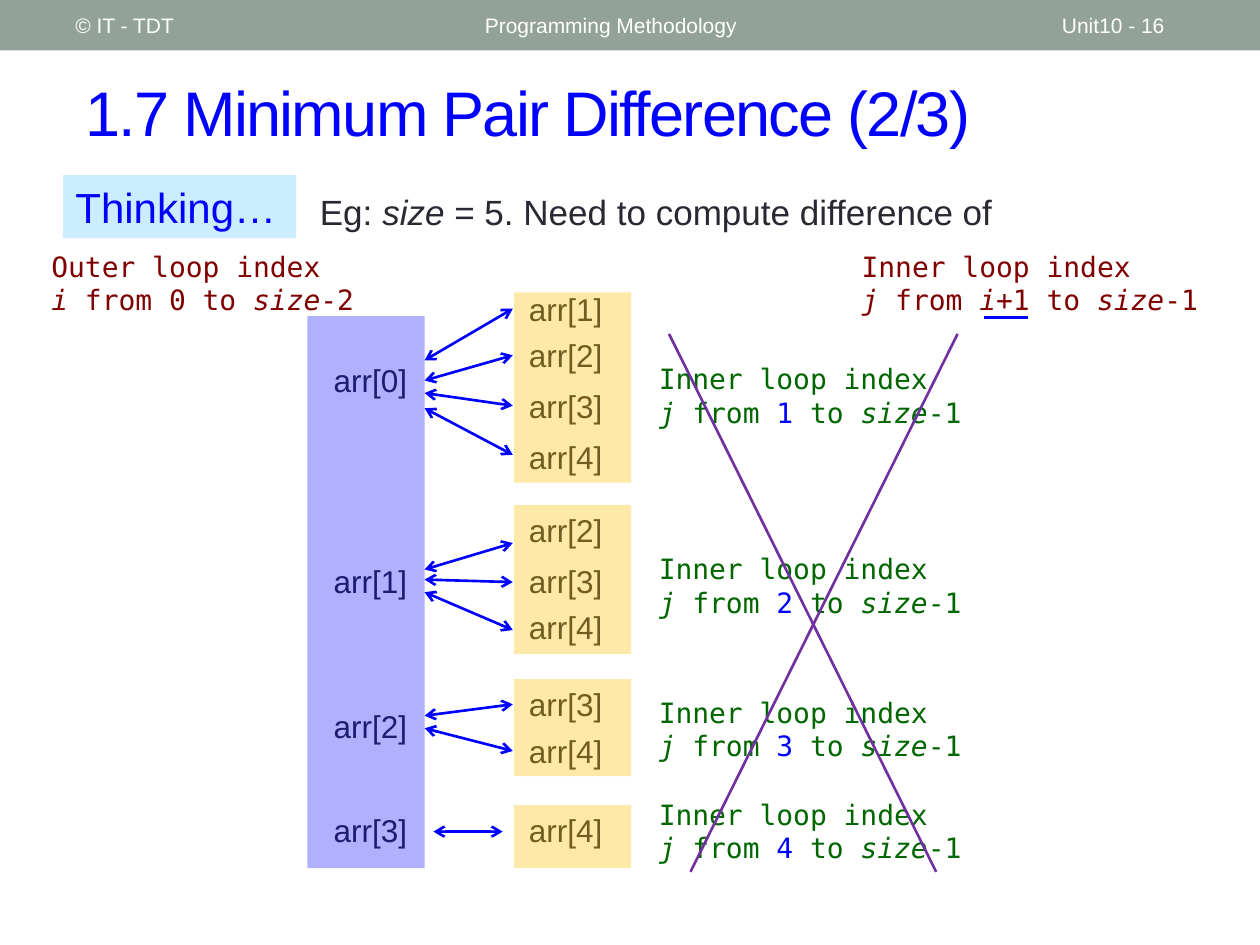
from dataclasses import dataclass

from lxml.etree import SubElement as Sub
from pptx import Presentation
from pptx.dml.color import RGBColor as Rgb
from pptx.enum.shapes import MSO_CONNECTOR as Connector, MSO_SHAPE as Preset
from pptx.enum.text import MSO_ANCHOR as Anchor, MSO_AUTO_SIZE as Fit, PP_ALIGN as Align
from pptx.oxml.ns import qn
from pptx.util import Inches, Pt


@dataclass(frozen=True)
class Theme:
    sans: str = "Arial"
    mono: str = "DejaVu Sans Mono"
    bar: str = "93A299"
    white: str = "FFFFFF"
    blue: str = "0000FF"
    ink: str = "292934"
    sky: str = "CCECFF"
    amber: str = "FFC000"
    maroon: str = "800000"
    green: str = "006600"
    purple: str = "7030A0"
    title: int = 36
    heading: int = 24
    body: int = 20
    element: int = 18
    code: int = 16
    header: int = 12
    stroke: float = 1.5


@dataclass(frozen=True)
class Comparison:
    outer: int
    outer_row: float
    block: tuple
    note_row: float
    partner_rows: tuple
    arrows: tuple


THEME = Theme()
COLUMNS, ROWS = 10, 7.5
CELL = Inches(1)
OUTER_COL, PARTNER_COL, BLOCK_COL, NOTE_COL = 2.44, 3.99, 4.08, 5.13
ELEMENT_SIZE = (1, 0.4)
BLOCK_WIDTH = 0.93
COMPARISONS = (
    Comparison(0, 2.82, (2.32, 1.51), 2.82, (2.25, 2.62, 3.02, 3.43),
               ((2.86, 2.45), (3.02, 2.82), (3.12, 3.22), (3.24, 3.61))),
    Comparison(1, 4.41, (4.01, 1.18), 4.33, (4.01, 4.41, 4.78),
               ((4.52, 4.31), (4.6, 4.62), (4.7, 5))),
    Comparison(2, 5.56, (5.39, 0.77), 5.47, (5.39, 5.76),
               ((5.68, 5.59), (5.78, 5.96))),
    Comparison(3, 6.39, (6.39, 0.5), 6.28, (6.39,), ((6.6, 6.6),)),
)


def grid(*cells):
    return [round(cell * CELL) for cell in cells]


def apply(target, values):
    for name, value in values.items():
        setattr(target, name, value)


def write(frame, text, size, color, font=THEME.sans, align=Align.LEFT,
          anchor=Anchor.TOP, fit=Fit.SHAPE_TO_FIT_TEXT, spacing=None):
    apply(frame, {"word_wrap": True, "auto_size": fit, "vertical_anchor": anchor})
    for number, line in enumerate(text.split("\n")):
        paragraph = frame.add_paragraph() if number else frame.paragraphs[0]
        paragraph.alignment = align
        for accent, chunk in enumerate(line.split("^")):
            for slant, piece in enumerate(chunk.split("*")):
                if not piece:
                    continue
                run = paragraph.add_run()
                run.text = piece
                apply(run.font, {"name": font, "size": Pt(size), "italic": bool(slant % 2)})
                run.font.color.rgb = Rgb.from_string(THEME.blue if accent % 2 else color)
                if spacing is not None:
                    run.font._element.set("spc", str(spacing))


def label(slide, place, text, size, color, **style):
    write(slide.shapes.add_textbox(*grid(*place)).text_frame, text, size, color, **style)


def panel(slide, place, color, opacity=None):
    area = slide.shapes.add_shape(Preset.RECTANGLE, *grid(*place))
    area.shadow.inherit = False
    area.fill.solid()
    area.fill.fore_color.rgb = Rgb.from_string(color)
    area.line.fill.background()
    if opacity is not None:
        tint = area._element.spPr.find(qn("a:solidFill"))[0]
        Sub(tint, qn("a:alpha")).set("val", str(opacity * 1000))
    return area


def stroke(slide, start, end, color, arrows=False):
    link = slide.shapes.add_connector(Connector.STRAIGHT, *grid(*start, *end))
    link.line.color.rgb = Rgb.from_string(color)
    link.line.width = Pt(THEME.stroke)
    if arrows:
        outline = link.line._get_or_add_ln()
        for tip in ("a:headEnd", "a:tailEnd"):
            Sub(outline, qn(tip)).set("type", "arrow")
    Sub(link._element.spPr, qn("a:effectLst"))


def element(slide, column, row, index):
    label(slide, (column, row, *ELEMENT_SIZE), f"arr[{index}]",
          THEME.element, THEME.ink, align=Align.CENTER)


def loop_note(slide, column, row, width, text, color):
    label(slide, (column, row, width, 0.64), text, THEME.code, color, font=THEME.mono)


def header(slide):
    panel(slide, (0, 0, COLUMNS, 0.4), THEME.bar)
    for column, width, text in ((0.5, 3.17, "© IT - TDT"),
                                (3.75, 4.5, "Programming Methodology"),
                                (8.33, 1.17, "Unit10 - 16")):
        label(slide, (column, 0.02, width, 0.36), text, THEME.header, THEME.white,
              anchor=Anchor.MIDDLE, fit=Fit.NONE)


def introduction(slide):
    label(slide, (0.58, 0.42, 9.17, 0.92), "1.7 Minimum Pair Difference (2/3)",
          THEME.title, THEME.blue, anchor=Anchor.MIDDLE, fit=Fit.NONE, spacing=-100)
    thinking = panel(slide, (0.5, 1.39, 1.85, 0.5), THEME.sky)
    write(thinking.text_frame, "Thinking…", THEME.heading, THEME.blue)
    label(slide, (2.44, 1.46, 5.89, 0.44),
          "Eg: *size* = 5. Need to compute difference of", THEME.body, THEME.ink)


def pairs(slide):
    for group in COMPARISONS:
        element(slide, OUTER_COL, group.outer_row, group.outer)
        for index, row in enumerate(group.partner_rows, group.outer + 1):
            element(slide, PARTNER_COL, row, index)
        left, right = (3.44, 3.99) if len(group.arrows) == 1 else (3.37, 4.07)
        for start, end in group.arrows:
            stroke(slide, (left, start), (right, end), THEME.blue, arrows=True)


def loops(slide):
    panel(slide, (OUTER_COL, 2.51, BLOCK_WIDTH, 4.38), THEME.blue, 31)
    loop_note(slide, 0.31, 1.93, 2.77,
              "Outer loop index\n*i* from 0 to *size*-2", THEME.maroon)
    for group in COMPARISONS:
        top, height = group.block
        panel(slide, (BLOCK_COL, top, BLOCK_WIDTH, height), THEME.amber, 34)
        loop_note(slide, NOTE_COL, group.note_row, 2.82,
                  f"Inner loop index\n*j* from ^{group.outer + 1}^ to *size*-1", THEME.green)


def correction(slide):
    stroke(slide, (5.31, 2.65), (7.43, 6.92), THEME.purple)
    stroke(slide, (5.48, 6.92), (7.6, 2.65), THEME.purple)
    loop_note(slide, 6.74, 1.93, 2.99,
              "Inner loop index\n*j* from *i*+1 to *size*-1", THEME.maroon)
    stroke(slide, (7.81, 2.52), (8.16, 2.52), THEME.blue)


def main():
    deck = Presentation()
    width, height = grid(COLUMNS, ROWS)
    apply(deck, {"slide_width": width, "slide_height": height})
    slide = deck.slides.add_slide(deck.slide_layouts[6])
    for part in (header, introduction, pairs, loops, correction):
        part(slide)
    deck.save("out.pptx")


main()
